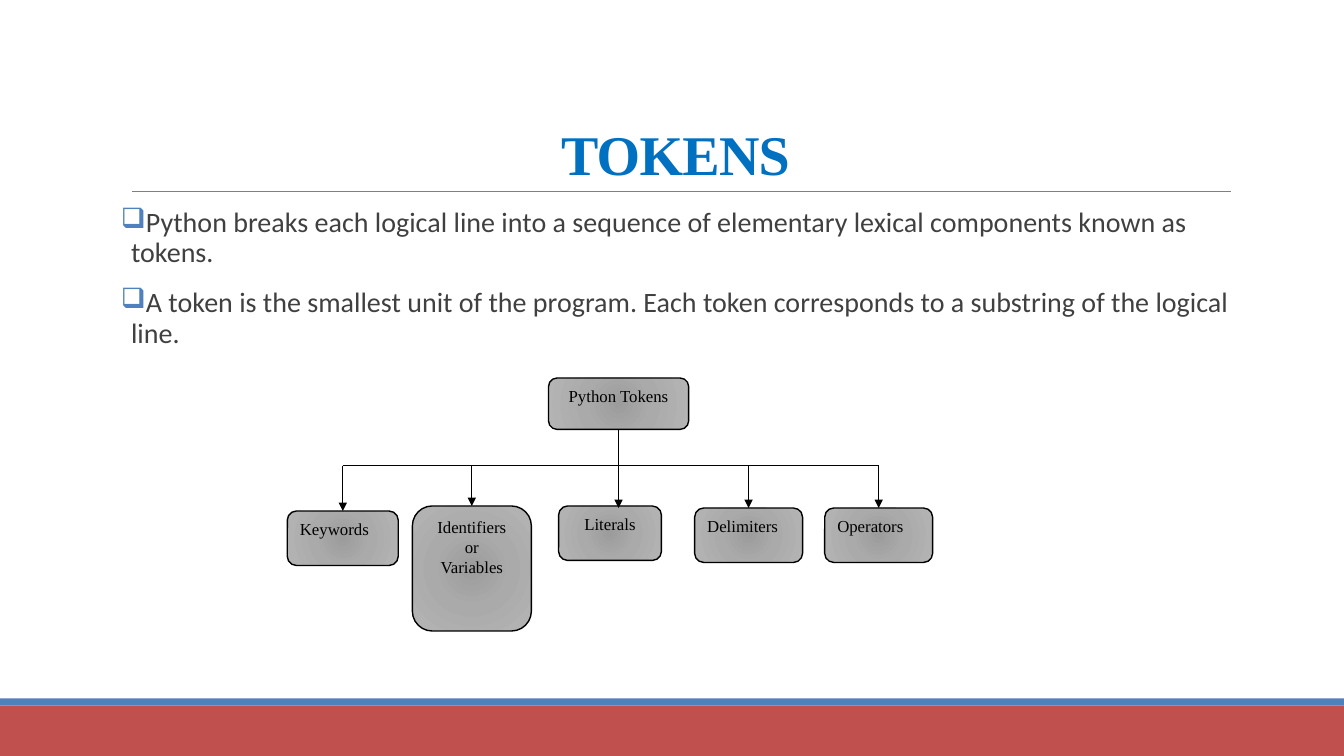
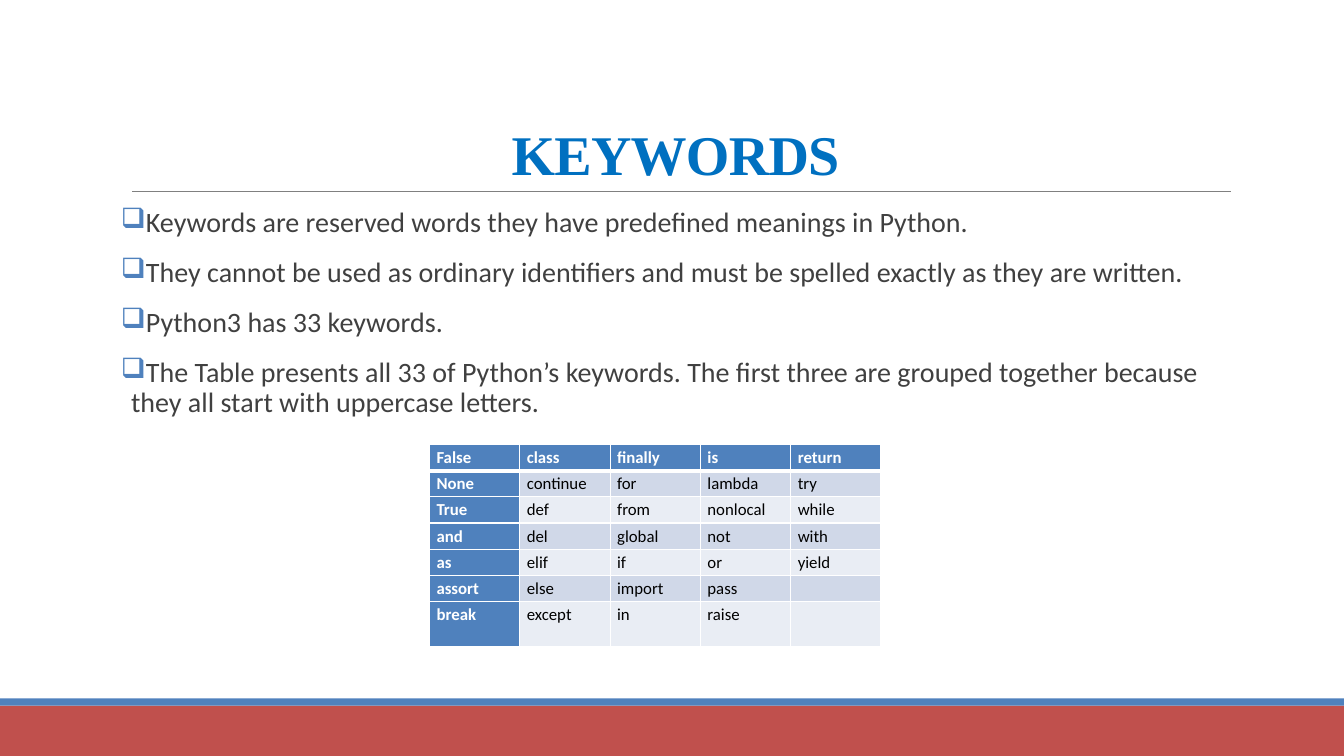
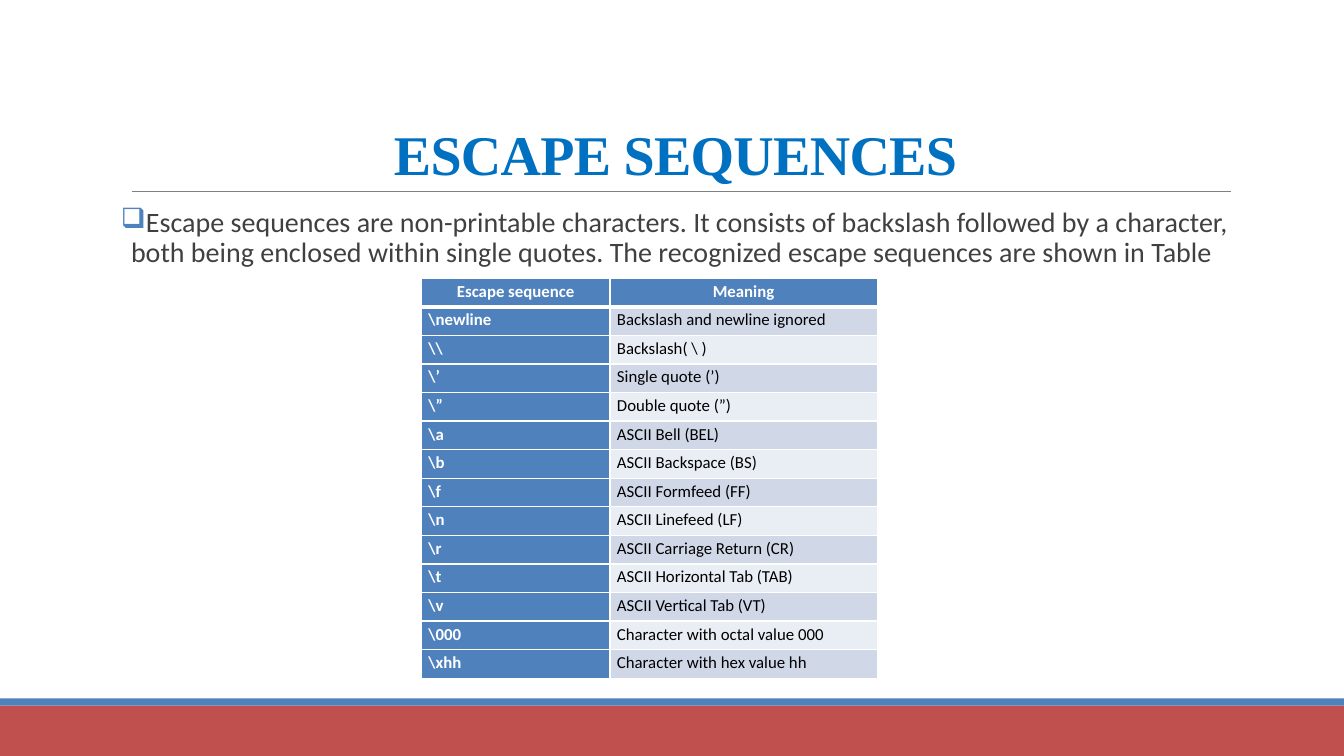
from lxml.etree import SubElement
from pptx import Presentation
from pptx.dml.color import RGBColor
from pptx.enum.shapes import MSO_CONNECTOR, MSO_SHAPE
from pptx.enum.text import MSO_ANCHOR, PP_ALIGN
from pptx.oxml import parse_xml
from pptx.oxml.ns import nsdecls, qn
from pptx.util import Inches, Pt


def rgb(text):
    return RGBColor.from_string(text)


class Deck:
    SERIF, SANS = "Times New Roman", "Calibri"
    BLUE, RED, TITLE = "4F81BD", "C0504D", "0070C0"
    WHITE, BLACK, INK, GREY = "FFFFFF", "000000", "404040", "808080"
    BANDS = ("E9EDF4", "D0D8E8")
    STOPS = ((0, "9C9C9C"), (45, "AAAAAA"), (100, "B4B4B4"))

    def __init__(self):
        self.file = Presentation()
        self.file.slide_width = Inches(13.33)
        self.file.slide_height = Inches(7.5)

    def start(self, title, points):
        self.slide = self.file.slides.add_slide(self.file.slide_layouts[6])
        self.band(7, 0.5, self.RED)
        self.band(6.93, 0.07, self.BLUE)
        self.line(Inches(1.31), Inches(1.9), Inches(12.21), Inches(1.9), 0.5, self.GREY)
        frame = self.frame(0.31, 1.59)
        frame.vertical_anchor = MSO_ANCHOR.BOTTOM
        para = frame.paragraphs[0]
        para.alignment = PP_ALIGN.CENTER
        para.line_spacing = 0.85
        run = self.text(para, title, 40, self.SERIF, self.TITLE, True)
        run.font._element.set("spc", "-50")
        self.bullets(points)

    def band(self, top, height, color):
        shape = self.slide.shapes.add_shape(
            MSO_SHAPE.RECTANGLE, 0, Inches(top), self.file.slide_width, Inches(height))
        shape.shadow.inherit = False
        shape.fill.solid()
        shape.fill.fore_color.rgb = rgb(color)
        shape.line.fill.background()

    def frame(self, top, height):
        box = self.slide.shapes.add_textbox(
            Inches(1.2), Inches(top), Inches(11), Inches(height))
        box.text_frame.word_wrap = True
        return box.text_frame

    def text(self, para, words, size, face, color, bold=False):
        run = para.add_run()
        run.text = words
        font = run.font
        font.size, font.name, font.bold = Pt(size), face, bold
        font.color.rgb = rgb(color)
        return run

    def bullets(self, points):
        frame = self.frame(2.02, 4.4)
        frame.margin_left = frame.margin_right = 0
        for i, words in enumerate(points):
            para = frame.add_paragraph() if i else frame.paragraphs[0]
            props = para._p.get_or_add_pPr()
            props.set("marL", str(Inches(0.1)))
            props.set("indent", str(-Inches(0.1)))
            tint = SubElement(props, qn("a:buClr"))
            SubElement(tint, qn("a:srgbClr"), val=self.BLUE)
            SubElement(props, qn("a:buChar"), char="❑")
            para.line_spacing = 0.9
            para.space_after = Pt(2)
            if i:
                para.space_before = Pt(12)
            self.text(para, words, 20, self.SANS, self.INK)

    def node(self, lines, left, top, width, height, align=PP_ALIGN.CENTER):
        shape = self.slide.shapes.add_shape(
            MSO_SHAPE.ROUNDED_RECTANGLE, *map(Inches, (left, top, width, height)))
        stops = "".join(
            f'<a:gs pos="{pos * 1000}"><a:srgbClr val="{color}"/></a:gs>'
            for pos, color in self.STOPS)
        shape._element.spPr.append(parse_xml(
            f'<a:gradFill {nsdecls("a")}><a:gsLst>{stops}</a:gsLst><a:path path="circle">'
            '<a:fillToRect l="50000" t="50000" r="50000" b="50000"/></a:path></a:gradFill>'))
        shape.line.color.rgb = rgb(self.BLACK)
        shape.line.width = Pt(1)
        shape.shadow.inherit = False
        frame = shape.text_frame
        frame.vertical_anchor = MSO_ANCHOR.TOP
        for i, words in enumerate(lines):
            para = frame.add_paragraph() if i else frame.paragraphs[0]
            para.alignment = align
            self.text(para, words, 12, self.SERIF, self.BLACK)
        return shape

    def line(self, x1, y1, x2, y2, width, color=BLACK, arrow=False):
        link = self.slide.shapes.add_connector(MSO_CONNECTOR.STRAIGHT, x1, y1, x2, y2)
        link.line.color.rgb = rgb(color)
        link.line.width = Pt(width)
        props = link._element.spPr
        if arrow:
            SubElement(props.find(qn("a:ln")), qn("a:tailEnd"), type="triangle")
        SubElement(props, qn("a:effectLst"))
        return link

    def table(self, rows, left, top, widths, heights, center=False):
        grid = self.slide.shapes.add_table(
            len(rows), len(widths), Inches(left), Inches(top),
            Inches(sum(widths)), Inches(sum(heights))).table
        grid.first_row = grid.horz_banding = False
        for col, width in zip(grid.columns, widths):
            col.width = Inches(width)
        for r, (row, height) in enumerate(zip(rows, heights)):
            grid.rows[r].height = Inches(height)
            for c, words in enumerate(row):
                self.cell(grid.cell(r, c), words, r, c, center)

    def cell(self, cell, words, r, c, center):
        cell.margin_left = cell.margin_right = Inches(0.07)
        cell.margin_top = cell.margin_bottom = 0
        props = cell._tc.get_or_add_tcPr()
        for side in "LRTB":
            thick = (r, side) in ((0, "B"), (1, "T"))
            edge = SubElement(props, qn(f"a:ln{side}"), w=str(Pt(3 if thick else 1)))
            SubElement(SubElement(edge, qn("a:solidFill")), qn("a:srgbClr"), val=self.WHITE)
        head = r == 0 or c == 0
        cell.fill.solid()
        cell.fill.fore_color.rgb = rgb(self.BLUE if head else self.BANDS[r % 2])
        para = cell.text_frame.paragraphs[0]
        para.line_spacing = 1.15
        if center and r == 0:
            para.alignment = PP_ALIGN.CENTER
        if words:
            self.text(para, words, 12, self.SANS, self.WHITE if head else self.BLACK, head)
        else:
            SubElement(para._p, qn("a:endParaRPr"), sz="1200")


def tokens(deck):
    deck.start("TOKENS", [
        "Python breaks each logical line into a sequence of elementary lexical components known as tokens.",
        "A token is the smallest unit of the program. Each token corresponds to a substring of the logical line.",
    ])
    root = deck.node(["Python Tokens"], 5.44, 3.75, 1.39, 0.51)
    keys = deck.node(["Keywords"], 2.85, 5.07, 1.1, 0.54, PP_ALIGN.LEFT)
    names = deck.node(["Identifiers", "or", "Variables"], 4.09, 5.02, 1.18, 1.24)
    deck.node(["Literals"], 5.54, 5.02, 1.02, 0.54)
    marks = deck.node(["Delimiters"], 6.89, 5.04, 1.07, 0.54, PP_ALIGN.LEFT)
    signs = deck.node(["Operators"], 8.18, 5.04, 1.07, 0.54, PP_ALIGN.LEFT)

    def mid(node):
        return node.left + node.width // 2

    bus = Inches(4.62)
    trunk = deck.line(mid(root), root.top + root.height, mid(root), Inches(5.04), 1, arrow=True)
    trunk.begin_connect(root, 2)
    deck.line(mid(keys), bus, mid(signs), bus, 0.75)
    for node in (keys, names, marks, signs):
        drop = deck.line(mid(node), bus, mid(node), node.top, 0.75, arrow=True)
        drop.end_connect(node, 0)


def keywords(deck):
    deck.start("KEYWORDS", [
        "Keywords are reserved words they have predefined meanings in Python.",
        "They cannot be used as ordinary identifiers and must be spelled exactly as they are written.",
        "Python3 has 33 keywords.",
        "The Table presents all 33 of Python’s keywords. The first three are grouped together because they all start with uppercase letters.",
    ])
    rows = [
        ("False", "class", "finally", "is", "return"),
        ("None", "continue", "for", "lambda", "try"),
        ("True", "def", "from", "nonlocal", "while"),
        ("and", "del", "global", "not", "with"),
        ("as", "elif", "if", "or", "yield"),
        ("assort", "else", "import", "pass", ""),
        ("break", "except", "in", "raise", ""),
    ]
    deck.table(rows, 4.26, 4.41, [4.48 / 5] * 5, [0.26] * 6 + [0.45])


def escapes(deck):
    deck.start("ESCAPE SEQUENCES", [
        "Escape sequences are non-printable characters. It consists of backslash followed by a character, both being enclosed within single quotes. The recognized escape sequences are shown in Table",
    ])
    rows = [
        ("Escape sequence", "Meaning"),
        ("\\newline", "Backslash and newline ignored"),
        ("\\\\", "Backslash( \\ )"),
        ("\\’", "Single quote (’)"),
        ("\\”", "Double quote (”)"),
        ("\\a", "ASCII Bell (BEL)"),
        ("\\b", "ASCII Backspace (BS)"),
        ("\\f", "ASCII Formfeed (FF)"),
        ("\\n", "ASCII Linefeed (LF)"),
        ("\\r", "ASCII Carriage Return (CR)"),
        ("\\t", "ASCII Horizontal Tab (TAB)"),
        ("\\v", "ASCII Vertical Tab (VT)"),
        ("\\000", "Character with octal value 000"),
        ("\\xhh", "Character with hex value hh"),
    ]
    deck.table(rows, 4.18, 2.76, [1.87, 2.65], [3.97 / len(rows)] * len(rows), True)


def main():
    deck = Deck()
    tokens(deck)
    keywords(deck)
    escapes(deck)
    deck.file.save("out.pptx")


if __name__ == "__main__":
    main()
